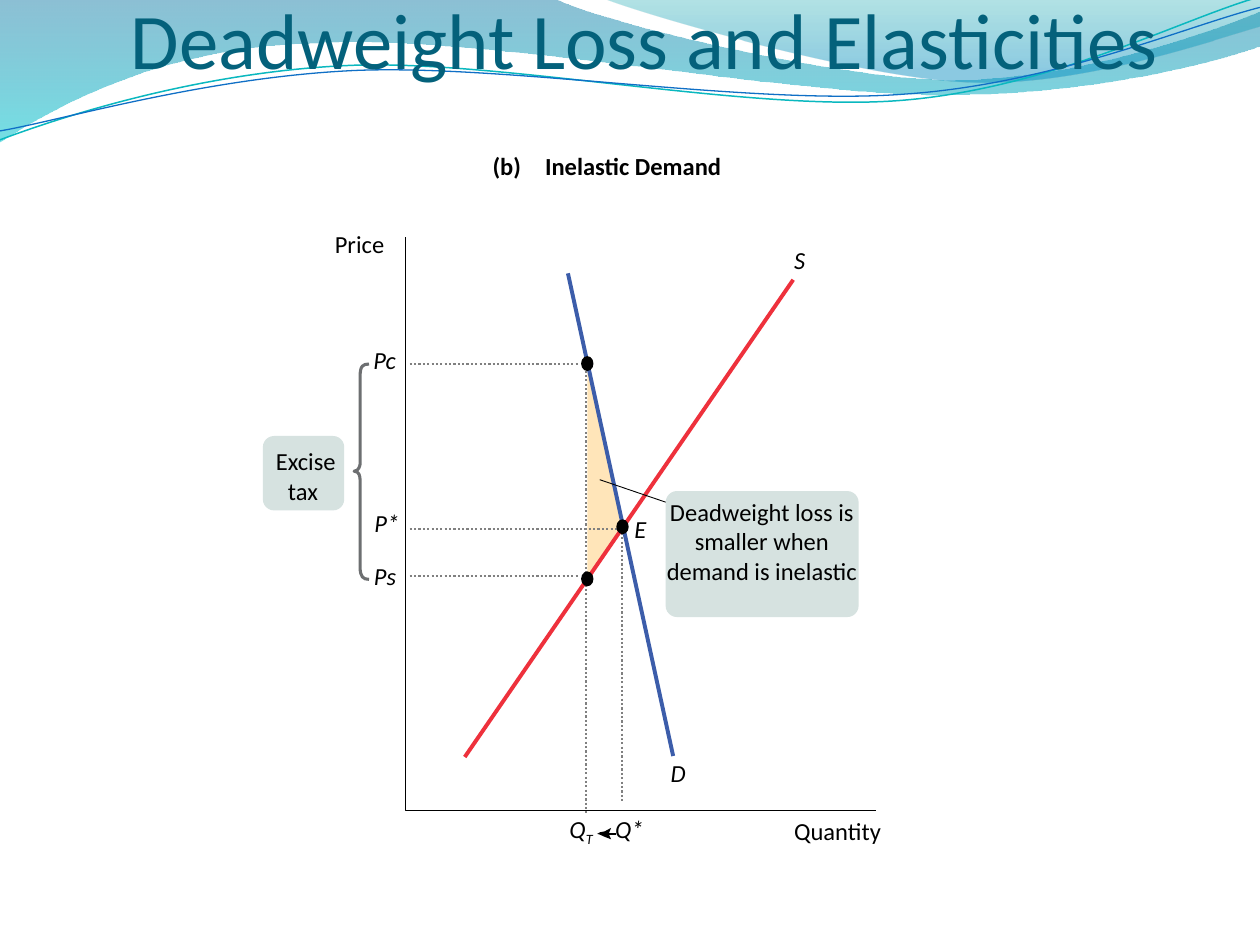
from lxml.etree import SubElement
from pptx import Presentation
from pptx.dml.color import RGBColor
from pptx.enum.dml import MSO_LINE
from pptx.enum.shapes import MSO_CONNECTOR, MSO_SHAPE
from pptx.enum.text import MSO_ANCHOR, MSO_AUTO_SIZE, PP_ALIGN
from pptx.oxml.ns import qn
from pptx.util import Cm, Pt

BLACK = RGBColor(0x00, 0x00, 0x00)
GREY = RGBColor(0x80, 0x80, 0x80)
BRACE_GREY = RGBColor(0x6D, 0x6F, 0x71)
TITLE_TEAL = RGBColor(0x04, 0x61, 0x7B)
SUPPLY_RED = RGBColor(0xEE, 0x31, 0x3C)
DEMAND_BLUE = RGBColor(0x3C, 0x5D, 0xAA)
LOSS_CREAM = RGBColor(0xFF, 0xE5, 0xB9)
BOX_GREEN = RGBColor(0xD6, 0xE2, 0xE0)
WAVE_BLUE = RGBColor(0x00, 0x74, 0xA1)
WAVE_CYAN = RGBColor(0x00, 0xC6, 0xCF)
CREST_TEAL = RGBColor(0x00, 0xA1, 0xA9)
CREST_BLUE = RGBColor(0x00, 0x8B, 0xBF)
STRAND_CYAN = RGBColor(0x0A, 0xB8, 0xBF)
STRAND_BLUE = RGBColor(0x0F, 0x6F, 0xC6)

# Two numbers are a point; six are a Bezier segment.
WAVE = [(0, 0), (11.18, -0.03), (12.09, 0.43, 16.87, 1.6, 19.25, 1.6),
        (21.67, 1.6, 24.33, 0.66, 25.4, 0.23), (25.43, 0.91),
        (24.97, 1.12, 22.1, 1.93, 18.95, 1.91), (15.8, 1.91, 9.7, 0.71, 6.53, 0.86),
        (3.28, 0.91, 1.17, 2.11, -0.03, 2.87)]
CREST = [(12.17, -0.03), (12.93, 0.28, 17.32, 1.57, 19.53, 1.65),
         (21.74, 1.75, 24.41, 0.81, 25.4, 0.53), (25.4, 0)]
CYAN_STRAND = [(0, 2.82), (1.22, 2.36, 4.01, 1.45, 7.04, 1.32),
               (10.03, 1.19, 15.06, 2.26, 18.11, 2.03),
               (21.16, 1.8, 23.83, 0.38, 25.35, -0.05)]
BLUE_STRAND = [(0, 2.64), (1.19, 2.44, 4.17, 1.55, 7.19, 1.42),
               (10.24, 1.3, 15.16, 2.13, 18.21, 1.9),
               (21.23, 1.7, 23.9, 0.53, 25.4, 0.15)]
TAX_BRACE = [(7.44, 7.34), (7.32, 7.34, 7.26, 7.37, 7.26, 7.59), (7.26, 9.35),
             (7.26, 9.37, 7.24, 9.5, 7.14, 9.5), (7.24, 9.5, 7.26, 9.6, 7.26, 9.68),
             (7.26, 11.43), (7.26, 11.63, 7.32, 11.68, 7.44, 11.68)]


def write(paragraph, text, size=14, color=BLACK, bold=False, italic=False,
          baseline=0, font="Calibri"):
    run = paragraph.add_run()
    run.text = text
    run.font.name, run.font.size = font, Pt(size)
    run.font.bold, run.font.italic = bold, italic
    run.font.color.rgb = color
    if baseline:
        run.font._element.set("baseline", str(baseline * 1000))


def bend(shape, segments):
    """Merge each three straight steps of a Bezier segment into one curve."""
    steps = iter(list(shape._element.iter(qn("a:lnTo"))))
    for segment in segments[1:]:
        group = [next(steps) for _ in range(len(segment) // 2)]
        if len(group) == 3:
            curve = group[0].makeelement(qn("a:cubicBezTo"))
            group[0].addprevious(curve)
            for step in group:
                curve.append(step[0])
                step.getparent().remove(step)


class Diagram:
    """Draws on one slide; all lengths are centimetres."""

    def __init__(self, slide):
        self.shapes = slide.shapes

    def paint(self, shape, fill=None, line=None, weight=0.5):
        shape.shadow.inherit = False
        if fill is None:
            shape.fill.background()
        else:
            shape.fill.solid()
            shape.fill.fore_color.rgb = fill
        if line is None:
            shape.line.fill.background()
        else:
            shape.line.color.rgb, shape.line.width = line, Pt(weight)
        return shape

    def outline(self, segments, closed=True, **paint):
        points = [(Cm(x), Cm(y)) for segment in segments
                  for x, y in zip(segment[::2], segment[1::2])]
        builder = self.shapes.build_freeform(*points[0])
        builder.add_line_segments(points[1:], close=closed)
        shape = builder.convert_to_shape()
        bend(shape, segments)
        return self.paint(shape, **paint)

    def gradient(self, segments, stops):
        """Fill an outline downwards with (position, color, opacity) stops."""
        fill = self.outline(segments).fill
        fill.gradient()
        fill.gradient_angle = 270
        for stop, (position, color, opacity) in zip(fill.gradient_stops, stops):
            stop.position, stop.color.rgb = position, color
            rgb = stop._gs.find(qn("a:srgbClr"))
            SubElement(rgb, qn("a:alpha")).set("val", str(opacity * 1000))

    def preset(self, kind, left, top, width, height, adjust=None, **paint):
        shape = self.shapes.add_shape(kind, Cm(left), Cm(top), Cm(width), Cm(height))
        if adjust is not None:
            shape.adjustments[0] = adjust
        self.paint(shape, **paint)

    def dot(self, x, y, width=0.25, height=0.3):
        self.preset(MSO_SHAPE.OVAL, x - width / 2, y - height / 2, width, height, fill=BLACK)

    def line(self, start, end, color=BLACK, weight=0.5, dash=None):
        line = self.shapes.add_connector(
            MSO_CONNECTOR.STRAIGHT, *(Cm(value) for value in start + end))
        line.line.color.rgb, line.line.width = color, Pt(weight)
        if dash:
            line.line.dash_style = dash
        SubElement(line._element.spPr, qn("a:effectLst"))

    def guide(self, start, end):
        self.line(start, end, GREY, 1.25, MSO_LINE.ROUND_DOT)

    def text(self, text, left, top, width, height=0.61, wrap=False,
             align=PP_ALIGN.LEFT, anchor=MSO_ANCHOR.TOP, subscript="", **style):
        frame = self.shapes.add_textbox(Cm(left), Cm(top), Cm(width), Cm(height)).text_frame
        frame.margin_left = frame.margin_right = frame.margin_top = frame.margin_bottom = 0
        frame.word_wrap, frame.vertical_anchor = wrap, anchor
        frame.auto_size = MSO_AUTO_SIZE.NONE if wrap else MSO_AUTO_SIZE.SHAPE_TO_FIT_TEXT
        paragraph = frame.paragraphs[0]
        paragraph.alignment = align
        write(paragraph, text, **style)
        if subscript:
            write(paragraph, subscript, baseline=-25, **style)


def main():
    deck = Presentation()
    deck.slide_width, deck.slide_height = Cm(25.4), Cm(19.05)
    diagram = Diagram(deck.slides.add_slide(deck.slide_layouts[6]))

    diagram.gradient(WAVE, [(0, WAVE_BLUE, 45), (1, WAVE_CYAN, 55)])
    diagram.gradient(CREST, [(0, CREST_TEAL, 30), (0.8, CREST_BLUE, 45)])
    diagram.outline(CYAN_STRAND, closed=False, line=STRAND_CYAN, weight=0.85)
    diagram.outline(BLUE_STRAND, closed=False, line=STRAND_BLUE, weight=0.75)
    diagram.text("Deadweight Loss and Elasticities", 2.64, 0.18, 22.28, 1.55, wrap=True,
                 anchor=MSO_ANCHOR.BOTTOM, size=45, color=TITLE_TEAL)

    taxed_quantity, free_quantity = 11.84, 12.55
    consumer_price, free_price, seller_price = 7.33, 10.62, 11.67
    diagram.guide((12.54, 10.74), (12.54, 16.15))
    diagram.guide((11.81, 7.47), (11.81, 16.38))
    diagram.outline(TAX_BRACE, closed=False, line=BRACE_GREY, weight=1.75)
    diagram.text("(b)", 9.93, 3.05, 0.64, bold=True)
    diagram.text("Inelastic Demand", 10.72, 3.05, 4.09, align=PP_ALIGN.CENTER, bold=True)
    diagram.outline([(taxed_quantity, consumer_price), (taxed_quantity, 11.68),
                     (free_quantity, free_price)], fill=LOSS_CREAM)
    for height, end in ((7.34, 11.68), (10.67, 12.47), (11.61, 11.68)):
        diagram.guide((8.26, height), (end, height))
    diagram.line((9.37, 15.26), (15.99, 5.64), SUPPLY_RED, 2.25)
    diagram.line((13.57, 15.24), (11.45, 5.51), DEMAND_BLUE, 2.25)
    diagram.outline([(17.66, 16.33), (8.17, 16.33), (8.17, 4.78)], closed=False, line=BLACK)
    diagram.dot(free_quantity, free_price)
    diagram.dot(taxed_quantity, seller_price)
    diagram.dot(taxed_quantity, consumer_price)

    diagram.line((12.09, 9.67), (13.44, 10.13))
    diagram.preset(MSO_SHAPE.ROUNDED_RECTANGLE, 5.3, 8.79, 1.64, 1.5, 0.15, fill=BOX_GREEN)
    diagram.preset(MSO_SHAPE.ROUNDED_RECTANGLE, 13.42, 9.9, 3.89, 2.54, 0.09, fill=BOX_GREEN)
    diagram.text("Excise tax ", 5.38, 9, 1.57, 1.19, wrap=True, align=PP_ALIGN.CENTER)
    diagram.text("Deadweight loss is smaller when demand is inelastic",
                 13.39, 10.02, 3.94, 2.39, wrap=True, align=PP_ALIGN.CENTER)

    diagram.text("Price", 6.68, 4.61, 1.14, align=PP_ALIGN.CENTER)
    diagram.text("Quantity", 15.96, 16.46, 1.85, align=PP_ALIGN.CENTER)
    for symbol, left, top, width in (
            ("S", 16.01, 4.93, 0.33), ("D", 13.52, 15.29, 0.36), ("E", 12.79, 10.36, 0.33),
            ("Pc", 7.53, 6.96, 0.58), ("P*", 7.55, 10.24, 0.53), ("Ps", 7.54, 11.3, 0.58),
            ("Q*", 12.4, 16.41, 0.58)):
        diagram.text(symbol, left, top, width, italic=True)
    diagram.text("Q", 11.48, 16.41, 0.58, subscript="T", italic=True)
    diagram.line((12.42, 16.81), (12.24, 16.81), weight=0.88)
    diagram.outline([(12.27, 16.81), (12.32, 16.92), (12.19, 16.87),
                     (12.12, 16.84, 12.07, 16.81, 12.04, 16.81),
                     (12.07, 16.79, 12.12, 16.76, 12.19, 16.76), (12.32, 16.69)], fill=BLACK)

    deck.save("out.pptx")


if __name__ == "__main__":
    main()
